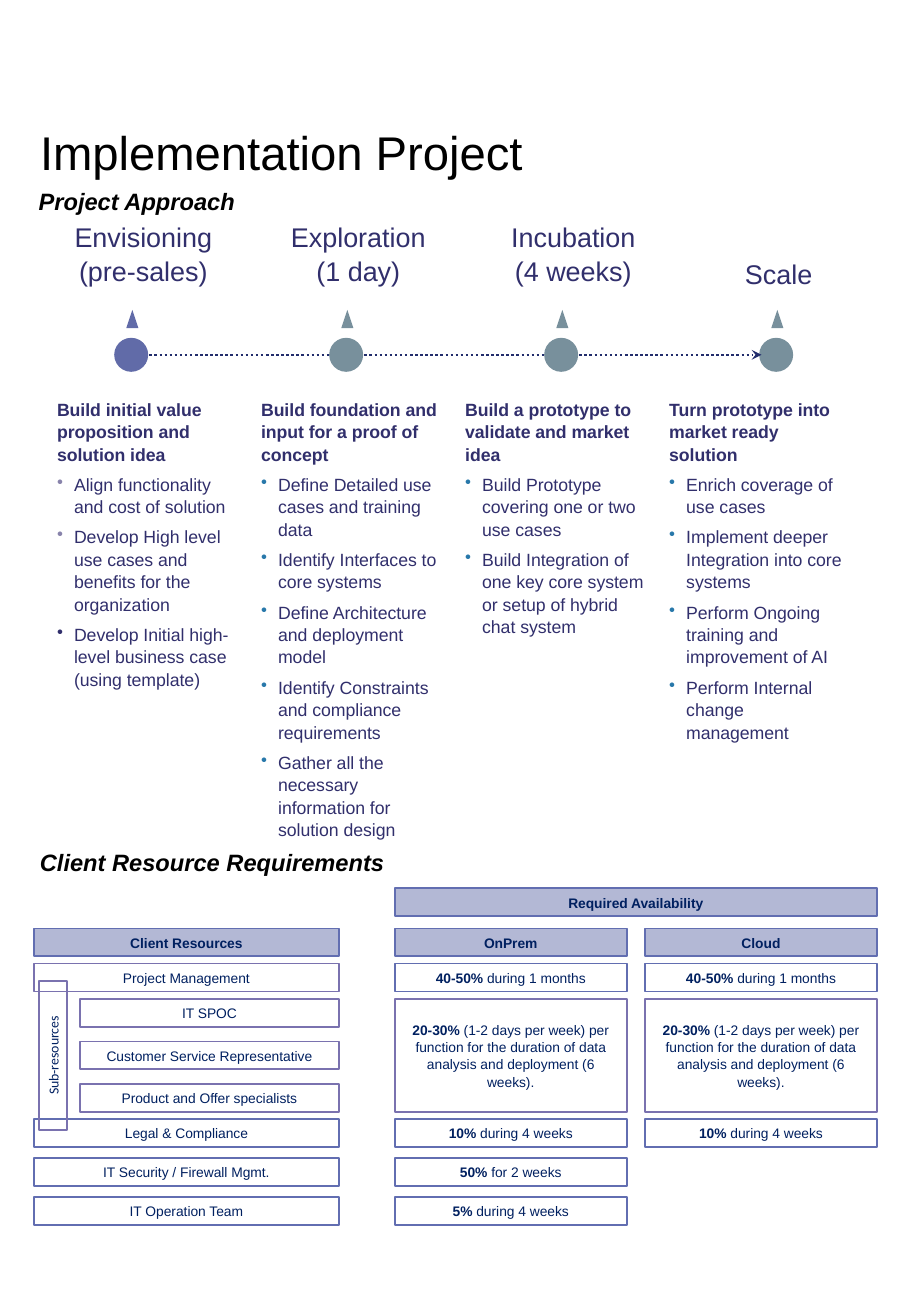
from lxml import etree
from pptx import Presentation
from pptx.dml.color import RGBColor
from pptx.enum.dml import MSO_LINE
from pptx.enum.shapes import MSO_CONNECTOR as CONN, MSO_SHAPE as SHAPE
from pptx.enum.text import MSO_ANCHOR as ANCHOR, PP_ALIGN as ALIGN
from pptx.oxml.ns import qn
from pptx.util import Inches, Pt

COLORS = {"black": "000000", "phase": "312F6C", "line": "222D6C", "indigo": "616BA8",
          "steel": "78909C", "cell": "002060", "border": "626EB1", "mauve": "7A72AF",
          "grey_bullet": "8883AB", "blue_bullet": "2878AA"}

TITLE = dict(size=Pt(28), color="black")
SECTION = dict(size=Pt(14), color="black", bold=True, italic=True)
PHASE = dict(size=Pt(16), color="phase")
BODY = dict(size=Pt(10.5), color="phase")
CELL = dict(size=Pt(8.2), color="cell")

# Heading lines, heading offset (x, y, width), claim, bullets
PHASES = [
    (["Envisioning", "(pre-sales)"], (0, 0, 1.28),
     "Build initial value proposition and solution idea",
     ["Align functionality and cost of solution",
      "Develop High level use cases and benefits for the organization",
      "Develop Initial high-level business case (using template)"]),
    (["Exploration", "(1 day)"], (0, 0, 1.28),
     "Build foundation and input for a proof of concept",
     ["Define Detailed use cases and training data",
      "Identify Interfaces to core systems",
      "Define Architecture and deployment model",
      "Identify Constraints and compliance requirements",
      "Gather all the necessary information for solution design"]),
    (["Incubation", "(4 weeks)"], (0, 0, 1.28),
     "Build a prototype to validate and market idea",
     ["Build Prototype covering one or two use cases",
      "Build Integration of one key core system or setup of hybrid chat system"]),
    (["Scale"], (0, 0.3, 1.12),
     "Turn prototype into market ready solution",
     ["Enrich coverage of use cases",
      "Implement deeper Integration into core systems",
      "Perform Ongoing training and improvement of AI",
      "Perform Internal change management"]),
]

SUBS = ["IT SPOC", "Customer Service Representative", "Product and Offer specialists"]
SHARE = ("20-30% ", "(1-2 days per week) per function for the duration of data "
         "analysis and deployment (6 weeks).")
# Resource, row, availability for OnPrem and Cloud
RESOURCES = [
    ("Project Management", "lead", [("40-50% ", "during 1 months")] * 2),
    ("Legal & Compliance", "legal", [("10% ", "during 4 weeks")] * 2),
    ("IT Security / Firewall Mgmt.", "security", [("50% ", "for 2 weeks")]),
    ("IT Operation Team", "operation", [("5% ", "during 4 weeks")]),
]


def rgb(name):
    return RGBColor.from_string(COLORS[name])


def add_run(p, text, fmt, **extra):
    r = p.add_run()
    r.text = text
    for key, value in {"name": "Arial", **fmt, **extra}.items():
        if key == "color":
            r.font.color.rgb = rgb(value)
        else:
            setattr(r.font, key, value)


def set_frame(tf, insets, **props):
    sides = ("margin_left", "margin_top", "margin_right", "margin_bottom")
    values = {"word_wrap": True, **dict(zip(sides, map(Inches, insets))), **props}
    for key, value in values.items():
        setattr(tf, key, value)


def add_text(slide, box, lines, fmt, insets=(0.06, 0.03) * 2, align=ALIGN.LEFT,
             spacing=None, wrap=True):
    tf = slide.shapes.add_textbox(*map(Inches, box)).text_frame
    set_frame(tf, insets, word_wrap=wrap)
    for i, line in enumerate(lines):
        p = tf.paragraphs[0] if i == 0 else tf.add_paragraph()
        p.alignment, p.line_spacing = align, spacing
        add_run(p, line, fmt)
    return tf


def add_mark(slide, kind, box, color):
    sp = slide.shapes.add_shape(kind, *map(Inches, box))
    sp.shadow.inherit = False
    sp.fill.solid()
    sp.fill.fore_color.rgb = rgb(color)
    sp.line.fill.background()


def add_cell(slide, box, bold="", plain="", border="border", header=False, font="Arial"):
    sp = slide.shapes.add_shape(SHAPE.RECTANGLE, *map(Inches, box))
    sp.shadow.inherit = False
    sp.line.color.rgb = rgb(border)
    sp.line.width = Pt(1)
    if header:
        sp.fill.solid()
        sp.fill.fore_color.rgb = rgb("indigo")
        color = sp.fill._xPr.find(qn("a:solidFill"))[0]
        etree.SubElement(color, qn("a:alpha")).set("val", "48000")
    else:
        sp.fill.background()
    set_frame(sp.text_frame, (0.06, 0.03) * 2, vertical_anchor=ANCHOR.MIDDLE)
    p = sp.text_frame.paragraphs[0]
    p.alignment, p.line_spacing = ALIGN.CENTER, 1.05
    for text, is_bold in ((bold, True), (plain, False)):
        if text:
            add_run(p, text, CELL, bold=is_bold, name=font)
    return sp


def add_dots(slide, x, y, length, arrow):
    c = slide.shapes.add_connector(CONN.STRAIGHT, *map(Inches, (x, y, x + length, y)))
    c.line.color.rgb = rgb("line")
    c.line.width = Pt(1.5)
    c.line.dash_style = MSO_LINE.ROUND_DOT
    if arrow:
        etree.SubElement(c.line._get_or_add_ln(), qn("a:tailEnd")).set("type", "stealth")
    etree.SubElement(c._element.spPr, qn("a:effectLst"))


def add_bullet(tf, text, color):
    p = tf.add_paragraph()
    p.space_before, p.line_spacing = Pt(4.5), 1.06
    add_run(p, text, BODY)
    pPr = p._p.get_or_add_pPr()
    pPr.set("marL", str(Inches(0.14)))
    pPr.set("indent", str(-Inches(0.14)))
    clr = etree.SubElement(pPr, qn("a:buClr"))
    etree.SubElement(clr, qn("a:srgbClr")).set("val", COLORS[color])
    etree.SubElement(pPr, qn("a:buChar")).set("char", "•")


def draw_timeline(slide, left, top, pitch):
    dot = 0.28
    for i, (lines, (dx, dy, width), _, _) in enumerate(PHASES):
        x = left + i * pitch
        color = "steel" if i else "indigo"
        head_x = x - 0.4 + dx
        add_text(slide, (head_x, top + dy, width, 0.75 - dy), lines, PHASE,
                 align=ALIGN.CENTER, spacing=1.06)
        add_mark(slide, SHAPE.ISOSCELES_TRIANGLE, (x + 0.1, top + 0.78, 0.1, 0.15), color)
        add_mark(slide, SHAPE.OVAL, (x, top + 1.01, dot, dot), color)
    # Dotted links between the dots
    for i in range(len(PHASES) - 1):
        add_dots(slide, left + i * pitch + dot + 0.01, top + 1.15, 1.5,
                 arrow=i == len(PHASES) - 2)


def draw_phase_columns(slide, left, top, width, height, pitch):
    for i, (_, _, claim, bullets) in enumerate(PHASES):
        tf = add_text(slide, (left + i * pitch, top, width, height), [claim],
                      {**BODY, "bold": True}, insets=(0,) * 4, spacing=1.06)
        colors = ["blue_bullet"] * 5 if i else ["grey_bullet"] * 2 + ["phase"]
        for text, color in zip(bullets, colors):
            add_bullet(tf, text, color)


def draw_resources(slide, left, top):
    name_w, share_w, cell_h, sub_step, tail_step = 2.51, 1.91, 0.23, 0.35, 0.32
    share_x = [left + 2.97, left + 5.03]
    y = {"head": top + 0.33, "lead": top + 0.62, "subs": top + 0.91}
    for i, row in enumerate(("legal", "security", "operation")):
        y[row] = top + 1.9 + i * tail_step

    # Headers
    full_w = share_x[1] + share_w - share_x[0]
    for x, cy, w, text in ((left, y["head"], name_w, "Client Resources"),
                           (share_x[0], top, full_w, "Required Availability"),
                           (share_x[0], y["head"], share_w, "OnPrem"),
                           (share_x[1], y["head"], share_w, "Cloud")):
        add_cell(slide, (x, cy, w, cell_h), bold=text, header=True)

    # Resources and their availability
    for name, row, shares in RESOURCES:
        add_cell(slide, (left, y[row], name_w, cell_h), plain=name,
                 border="mauve" if row == "lead" else "border")
        for x, share in zip(share_x, shares):
            add_cell(slide, (x, y[row], share_w, cell_h), *share)

    # Sub-resources with shared availability
    for i, name in enumerate(SUBS):
        add_cell(slide, (left + 0.38, y["subs"] + i * sub_step, name_w - 0.38, cell_h),
                 plain=name, border="mauve")
    for x in share_x:
        add_cell(slide, (x, y["subs"], share_w, 2 * sub_step + cell_h), *SHARE,
                 border="mauve")
    side = add_cell(slide, (left - 0.46, top + 1.26, 1.23, cell_h), plain="Sub-resources",
                    border="mauve", font="Calibri")
    side.rotation = 270


def main():
    prs = Presentation()
    prs.slide_width, prs.slide_height = Inches(7.5), Inches(10.83)
    slide = prs.slides.add_slide(prs.slide_layouts[6])
    # Title and section headings
    add_text(slide, (0.26, 0.94, 6.99, 1.21), ["Implementation Project"], TITLE, (0.07,) * 4)
    for box, text in (((0.22, 1.49, 1.83, 0.34), "Project Approach"),
                      ((0.23, 6.93, 3.05, 0.34), "Client Resource Requirements")):
        add_text(slide, box, [text], SECTION, (0.1, 0.05) * 2, wrap=False)
    draw_timeline(slide, 0.94, 1.77, 1.77)
    draw_phase_columns(slide, 0.47, 3.27, 1.47, 3.51, 1.68)
    draw_resources(slide, 0.28, 7.31)
    prs.save("out.pptx")


if __name__ == "__main__":
    main()
